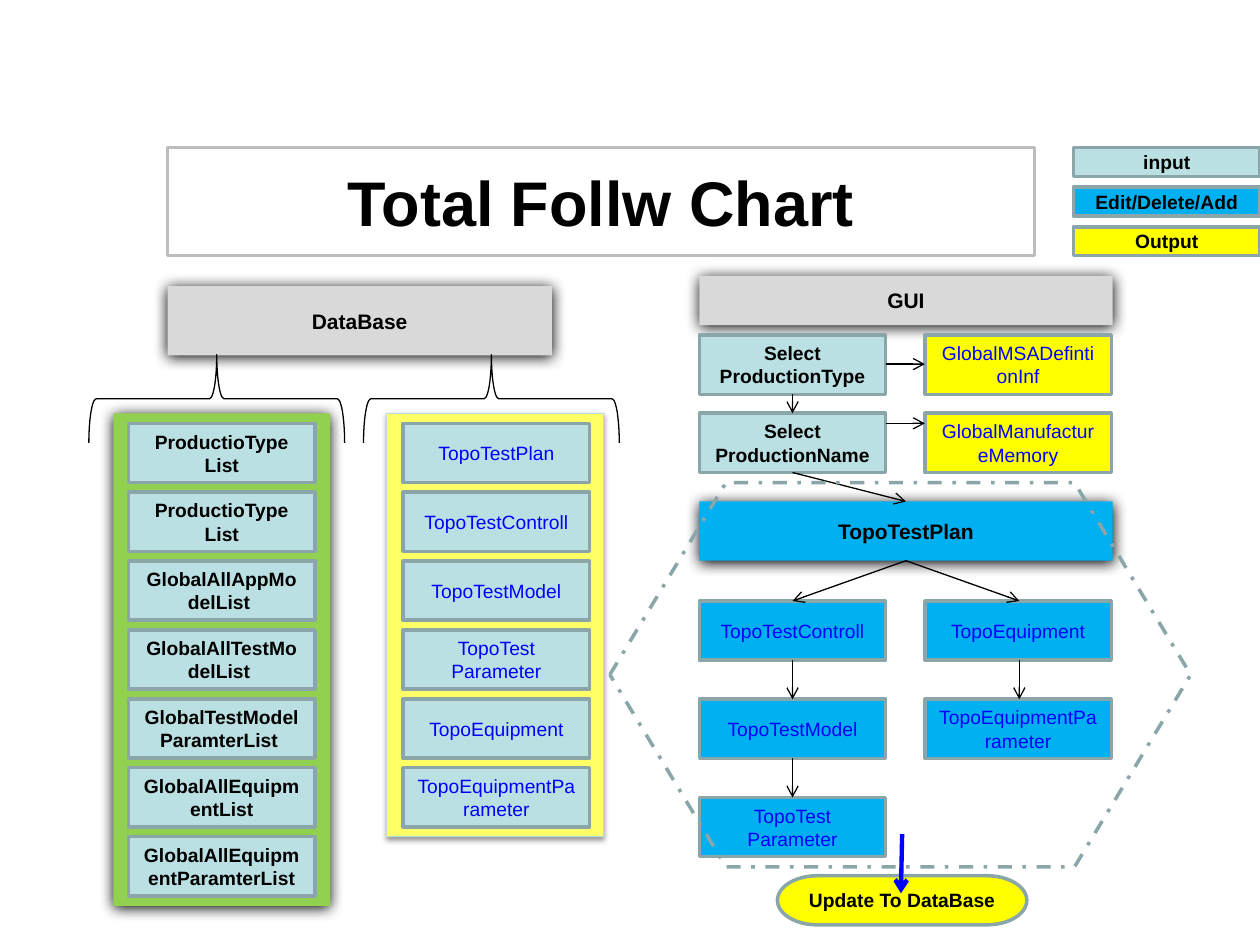
"""Build the total flow chart slide: database lists on the left, GUI steps on the right."""
from lxml import etree
from pptx import Presentation
from pptx.dml.color import RGBColor
from pptx.enum.dml import MSO_LINE
from pptx.enum.shapes import MSO_CONNECTOR, MSO_SHAPE
from pptx.enum.text import MSO_ANCHOR, PP_ALIGN
from pptx.oxml.ns import qn
from pptx.util import Inches, Pt

RECT = MSO_SHAPE.RECTANGLE
BRACE = MSO_SHAPE.LEFT_BRACE
PILL = MSO_SHAPE.FLOWCHART_TERMINATOR
HEX = MSO_SHAPE.FLOWCHART_PREPARATION
DASH = MSO_LINE.DASH_DOT
LINK = MSO_CONNECTOR.STRAIGHT
MID = MSO_ANCHOR.MIDDLE
CENTER = PP_ALIGN.CENTER

BLACK = RGBColor(0x00, 0x00, 0x00)
WHITE = RGBColor(0xFF, 0xFF, 0xFF)
BLUE = RGBColor(0x00, 0x00, 0xFF)
AQUA = RGBColor(0xBB, 0xE0, 0xE3)
SKY = RGBColor(0x00, 0xB0, 0xF0)
YELLOW = RGBColor(0xFF, 0xFF, 0x00)
LEMON = RGBColor(0xFF, 0xFF, 0x66)
GREEN = RGBColor(0x92, 0xD0, 0x50)
GRAY = RGBColor(0xD9, 0xD9, 0xD9)
SILVER = RGBColor(0xBD, 0xBD, 0xBD)
TEAL = RGBColor(0x8A, 0xA6, 0xA8)
PALE = RGBColor(0xB6, 0xDC, 0xDF)

GLOW = (8.5, 1, 100)
SOFT = (3.1, 1.6, 38)
W, H = 1.48, 0.47

prs = Presentation()
prs.slide_width, prs.slide_height = Inches(10), Inches(7.5)
slide = prs.slides.add_slide(prs.slide_layouts[5])


def box(x, y, w, h, fill, text="", edge=TEAL, width=2, size=11, color=BLACK,
        shade=None, kind=RECT):
    area = [Inches(v) for v in (x, y, w, h)]
    if kind is None:
        shape = slide.shapes.title
        shape.left, shape.top, shape.width, shape.height = area
        geom = etree.SubElement(shape._element.spPr, qn("a:prstGeom"), prst="roundRect")
        etree.SubElement(geom, qn("a:avLst"))
    else:
        shape = slide.shapes.add_shape(kind, *area)
        shape.shadow.inherit = False
    if fill is None:
        shape.fill.background()
    else:
        shape.fill.solid()
        shape.fill.fore_color.rgb = fill
    if edge is None:
        shape.line.fill.background()
    else:
        shape.line.color.rgb = edge
        shape.line.width = Pt(width)
    if shade:
        blur, dist, alpha = shade
        glow = etree.SubElement(
            shape._element.spPr.find(qn("a:effectLst")), qn("a:outerShdw"),
            blurRad=str(Pt(blur)), dist=str(Pt(dist)), dir="5400000",
            algn="ctr", rotWithShape="0")
        tint = etree.SubElement(glow, qn("a:srgbClr"), val=str(BLACK))
        etree.SubElement(tint, qn("a:alpha"), val=str(alpha * 1000))
    frame = shape.text_frame
    frame.word_wrap = True
    frame.vertical_anchor = MID
    for i, part in enumerate(text.split("\n") if text else []):
        para = frame.add_paragraph() if i else frame.paragraphs[0]
        para.alignment = CENTER
        run = para.add_run()
        run.text = part
        font = run.font
        font.name, font.size, font.bold = "Arial", Pt(size), color == BLACK
        font.color.rgb = color
    return shape


def arrow(x1, y1, x2, y2, color=BLACK, width=0.75):
    link = slide.shapes.add_connector(LINK, *[Inches(v) for v in (x1, y1, x2, y2)])
    link.line.color.rgb = color
    link.line.width = Pt(width)
    etree.SubElement(link.line._get_or_add_ln(), qn("a:tailEnd"), type="arrow")
    etree.SubElement(link._element.spPr, qn("a:effectLst"))


box(1.33, 1.17, 6.88, 0.86, WHITE, "Total Follw Chart", SILVER, size=36, kind=None)

legend = [("input", AQUA), ("Edit/Delete/Add", SKY), ("Output", YELLOW)]
for i, (text, fill) in enumerate(legend):
    box(8.52, 1.17 + i * 0.315, W, 0.23, fill, text)

box(0.9, 3.28, 1.72, 3.91, GREEN, edge=None, shade=GLOW)
box(3.07, 3.28, 1.72, 3.36, LEMON, edge=PALE, width=0.75, shade=SOFT)
box(1.33, 2.27, 3.05, 0.55, GRAY, "DataBase", None, size=12, shade=GLOW)

lists = [
    (1.02, BLACK, ["ProductioType\nList", "ProductioType\nList",
                   "GlobalAllAppModelList ", "GlobalAllTestModelList ",
                   "GlobalTestModelParamterList ", "GlobalAllEquipmentList",
                   "GlobalAllEquipmentParamterList"]),
    (3.2, BLUE, ["TopoTestPlan", "TopoTestControll", "TopoTestModel",
                 "TopoTest\nParameter", "TopoEquipment", "TopoEquipmentParameter"]),
]
for x, color, names in lists:
    for i, name in enumerate(names):
        box(x, 3.36 + i * 3.28 / 6, W, H, AQUA, name, color=color)
    box(x + 0.35, 2.15, 0.7, 2.03, None, edge=BLACK, width=0.75, kind=BRACE).rotation = 90

box(6.17, 6.95, 1.98, 0.39, YELLOW, "Update To DataBase", kind=PILL)
box(5.55, 2.19, 3.28, 0.39, GRAY, "GUI", None, size=12, shade=GLOW)
box(5.55, 3.98, 3.28, H, SKY, "TopoTestPlan", None, size=12, shade=GLOW)

steps = [
    (5.55, 2.66, AQUA, BLACK, "Select\nProductionType"),
    (5.55, 3.28, AQUA, BLACK, "Select\nProductionName"),
    (7.34, 2.66, YELLOW, BLUE, "GlobalMSADefintionInf"),
    (7.34, 3.28, YELLOW, BLUE, "GlobalManufactureMemory"),
    (5.55, 4.77, SKY, BLUE, "TopoTestControll"),
    (5.55, 5.55, SKY, BLUE, "TopoTestModel"),
    (5.55, 6.33, SKY, BLUE, "TopoTest\nParameter"),
    (7.34, 4.77, SKY, BLUE, "TopoEquipment"),
    (7.34, 5.55, SKY, BLUE, "TopoEquipmentParameter"),
]
for x, y, fill, color, text in steps:
    box(x, y, W, H, fill, text, color=color)

links = [
    (6.29, 3.13, 6.29, 3.28), (6.29, 3.75, 7.19, 3.98),
    (7.03, 2.89, 7.34, 2.89), (7.03, 3.36, 7.34, 3.36),
    (7.19, 4.45, 6.29, 4.77), (7.19, 4.45, 8.09, 4.77),
    (6.29, 5.24, 6.29, 5.55), (6.29, 6.02, 6.29, 6.33),
    (8.09, 5.24, 8.09, 5.55),
]
for ends in links:
    arrow(*ends)
arrow(7.16, 6.62, 7.15, 7.09, BLUE, 2.5)

box(4.84, 3.83, 4.61, 3.05, None, kind=HEX).line.dash_style = DASH

prs.save("out.pptx")
